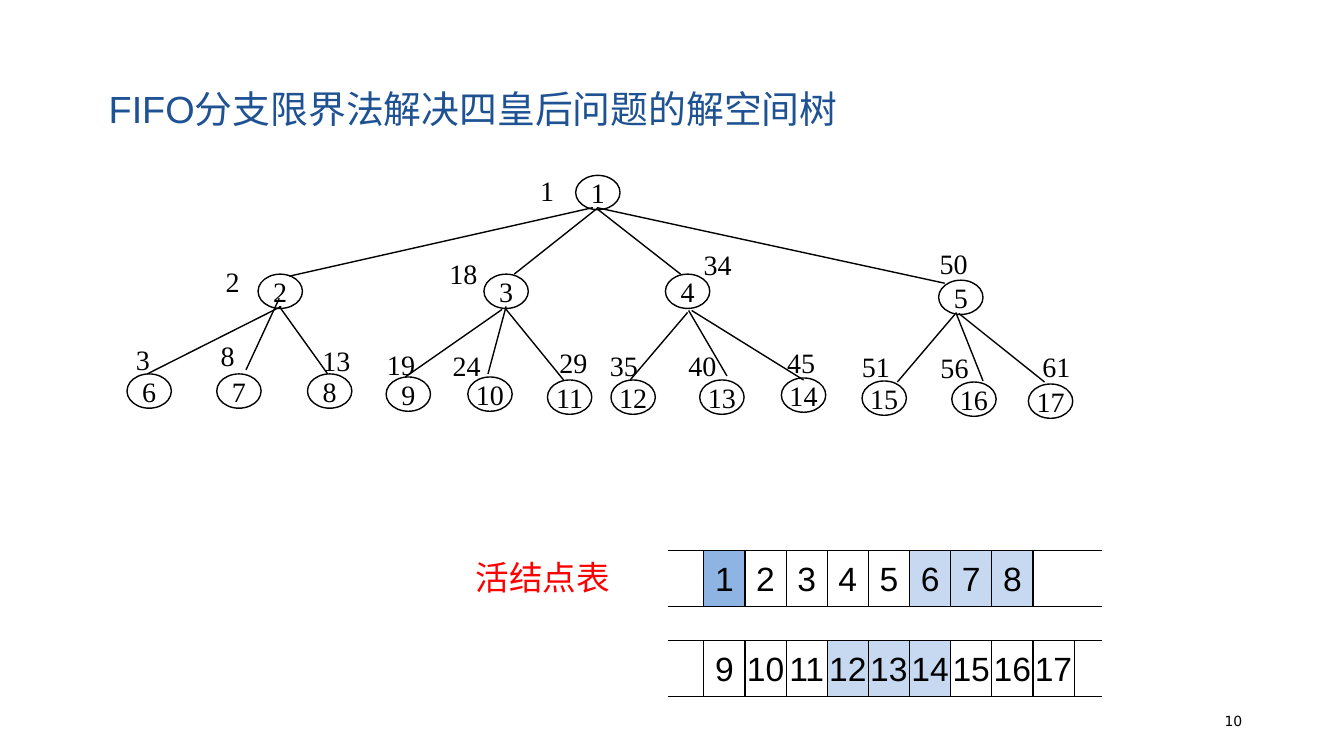
from dataclasses import dataclass

from lxml import etree
from pptx import Presentation
from pptx import util as u
from pptx.dml.color import RGBColor
from pptx.enum import shapes, text
from pptx.oxml.ns import qn


@dataclass(frozen=True)
class Theme:
    """Colours, fonts, type sizes and line widths of the deck."""
    black: str = "000000"
    title: str = "1E5293"
    alert: str = "FF0000"
    current: str = "8EB4E3"
    waiting: str = "C6D9F1"
    sans: str = "Arial"
    serif: str = "Times New Roman"
    number: str = "DejaVu Sans"
    title_size: float = 27
    queue_size: float = 24
    node_size: float = 20
    page_size: float = 10
    tree_line: float = 1
    queue_line: float = 0.75


@dataclass(frozen=True)
class Box:
    """A region on a grid of 1333 columns and 750 rows."""
    left: float
    top: float
    width: float
    height: float

    def inner(self, left, top, width, height):
        """Return a box placed relative to this one."""
        return Box(self.left + left, self.top + top, width, height)

    def lengths(self):
        """Return the four lengths for a shape."""
        return [grid(n) for n in (self.left, self.top, self.width, self.height)]


THEME = Theme()
COLUMNS, ROWS = 1333, 750
LEFT, CENTER, RIGHT = text.PP_ALIGN.LEFT, text.PP_ALIGN.CENTER, text.PP_ALIGN.RIGHT
OVAL, RECT = shapes.MSO_SHAPE.OVAL, shapes.MSO_SHAPE.RECTANGLE
NODE_WIDTH, NODE_HEIGHT = 44, 34
TAG_WIDTH, TAG_HEIGHT = 56, 44

# Each row: node, left, top, tag, tag left, tag top, edge to its parent.
NODES = [
    (1, 446, 7, 1, 401, 0, None),
    (2, 131, 105, 2, 89, 91, (463, 39, 162, 107)),
    (3, 355, 105, 18, 311, 83, (467, 40, 385, 105)),
    (4, 535, 105, 34, 563, 74, (467, 40, 550, 105)),
    (5, 806, 111, 50, 797, 73, (467, 39, 812, 114)),
    (6, 1, 204, 3, 0, 168, (154, 137, 21, 204)),
    (7, 90, 204, 8, 84, 164, (152, 129, 119, 200)),
    (8, 180, 204, 13, 185, 169, (152, 137, 200, 204)),
    (9, 258, 207, 19, 249, 173, (373, 140, 277, 207)),
    (10, 339, 207, 24, 314, 174, (377, 137, 359, 204)),
    (11, 418, 210, 29, 420, 171, (377, 140, 434, 210)),
    (12, 481, 210, 35, 470, 174, (557, 143, 500, 210)),
    (13, 569, 210, 40, 548, 174, (558, 141, 596, 206)),
    (14, 650, 208, 45, 646, 171, (561, 141, 672, 210)),
    (15, 730, 211, 51, 720, 175, (822, 145, 765, 212)),
    (16, 819, 212, 56, 798, 176, (823, 143, 850, 211)),
    (17, 895, 214, 61, 899, 175, (826, 144, 911, 212)),
]
QUEUE_FILLS = {1: THEME.current} | dict.fromkeys((6, 7, 8, 12, 13, 14), THEME.waiting)


def grid(cells):
    """Turn grid cells into a length."""
    return u.Inches(cells / 100)


def write(shape, words, size, font, color, align, anchor, wrap):
    """Write one styled paragraph into a shape."""
    frame = shape.text_frame
    frame.word_wrap = wrap
    frame.vertical_anchor = anchor
    para = frame.paragraphs[0]
    para.text = str(words)
    para.alignment = align
    para.font.size = u.Pt(size)
    para.font.name = font
    para.font.color.rgb = RGBColor.from_string(color)


def add_label(page, box, words, size, font, color=THEME.black, align=LEFT,
              anchor=text.MSO_ANCHOR.MIDDLE):
    """Add a wrapping text box."""
    label = page.shapes.add_textbox(*box.lengths())
    write(label, words, size, font, color, align, anchor, True)


def add_cell(page, kind, box, words, size, font, width, fill=None):
    """Add an outlined shape with a centred number."""
    cell = page.shapes.add_shape(kind, *box.lengths())
    cell.shadow.inherit = False
    if fill:
        cell.fill.solid()
        cell.fill.fore_color.rgb = RGBColor.from_string(fill)
    else:
        cell.fill.background()
    cell.line.color.rgb = RGBColor.from_string(THEME.black)
    cell.line.width = u.Pt(width)
    write(cell, words, size, font, THEME.black, CENTER, text.MSO_ANCHOR.MIDDLE, False)


def add_line(page, box, ends, width):
    """Add a straight line whose ends are relative to a box."""
    x1, y1, x2, y2 = ends
    line = page.shapes.add_connector(
        shapes.MSO_CONNECTOR.STRAIGHT,
        grid(box.left + x1), grid(box.top + y1),
        grid(box.left + x2), grid(box.top + y2))
    line.line.color.rgb = RGBColor.from_string(THEME.black)
    line.line.width = u.Pt(width)
    etree.SubElement(line._element.spPr, qn("a:effectLst"))


def draw_tree(page, box):
    """Draw the solution space tree with its visiting order."""
    for node, left, top, tag, tag_left, tag_top, edge in NODES:
        add_cell(page, OVAL, box.inner(left, top, NODE_WIDTH, NODE_HEIGHT),
                 node, THEME.node_size, THEME.serif, THEME.tree_line)
        add_label(page, box.inner(tag_left, tag_top, TAG_WIDTH, TAG_HEIGHT), tag,
                  THEME.node_size, THEME.serif, anchor=text.MSO_ANCHOR.TOP)
        if edge:
            add_line(page, box, edge, THEME.tree_line)


def draw_queue(page, box, numbers):
    """Draw one row of the live node list between two rails."""
    indent, pitch, cell_width = 35, 40.8, 41
    for rail in (0, box.height):
        add_line(page, box, (0, rail, box.width, rail), THEME.queue_line)
    for column, number in enumerate(numbers):
        cell = box.inner(indent + column * pitch, 0, cell_width, box.height)
        add_cell(page, RECT, cell, number, THEME.queue_size, THEME.sans,
                 THEME.queue_line, QUEUE_FILLS.get(number))


def main():
    """Build and save the slide."""
    deck = Presentation()
    deck.slide_width, deck.slide_height = grid(COLUMNS), grid(ROWS)
    page = deck.slides.add_slide(deck.slide_layouts[6])
    add_label(page, Box(98, 46, 887, 124), "FIFO分支限界法解决四皇后问题的解空间树",
              THEME.title_size, THEME.sans, THEME.title)
    draw_tree(page, Box(125, 167, 955, 248))
    add_label(page, Box(462, 548, 169, 50), "活结点表",
              THEME.queue_size, THEME.serif, THEME.alert)
    draw_queue(page, Box(663, 546, 430, 56), range(1, 9))
    draw_queue(page, Box(663, 635, 430, 56), range(9, 18))
    add_label(page, Box(942, 695, 300, 40), 10,
              THEME.page_size, THEME.number, align=RIGHT)
    deck.save("out.pptx")


if __name__ == "__main__":
    main()
